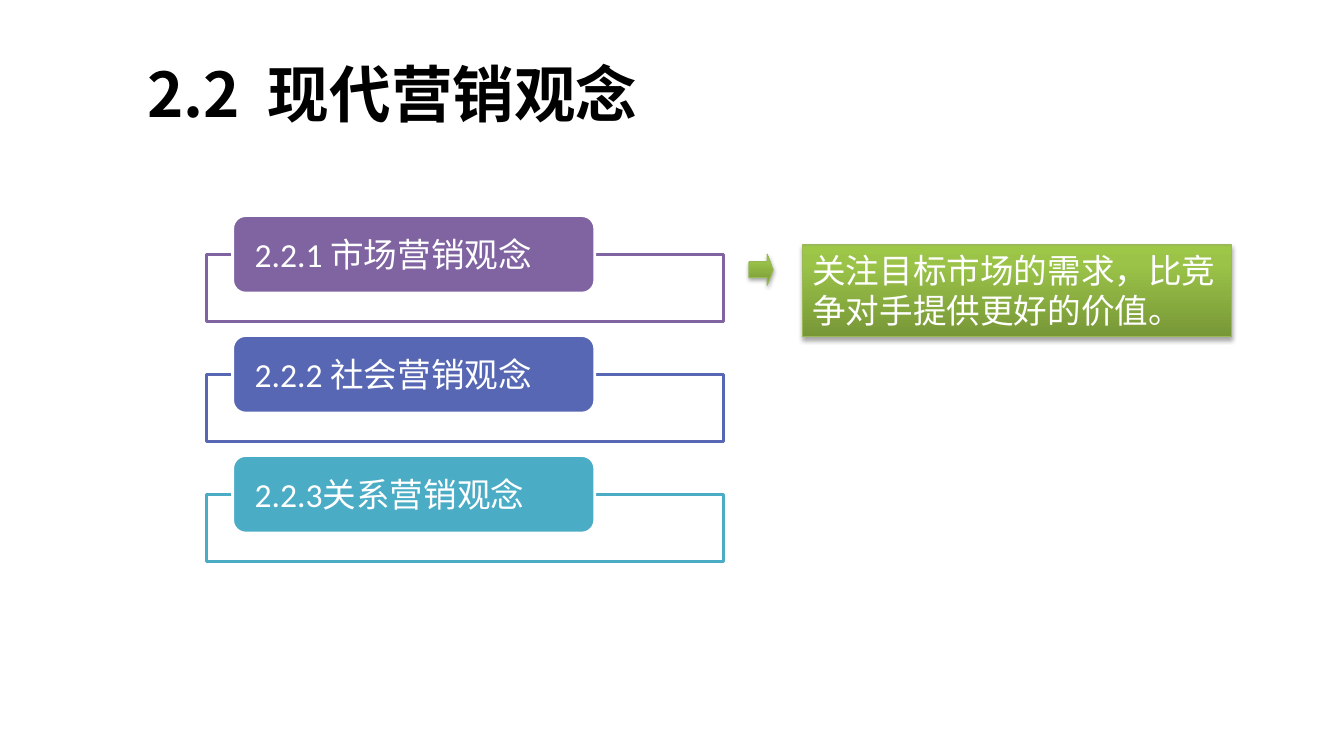
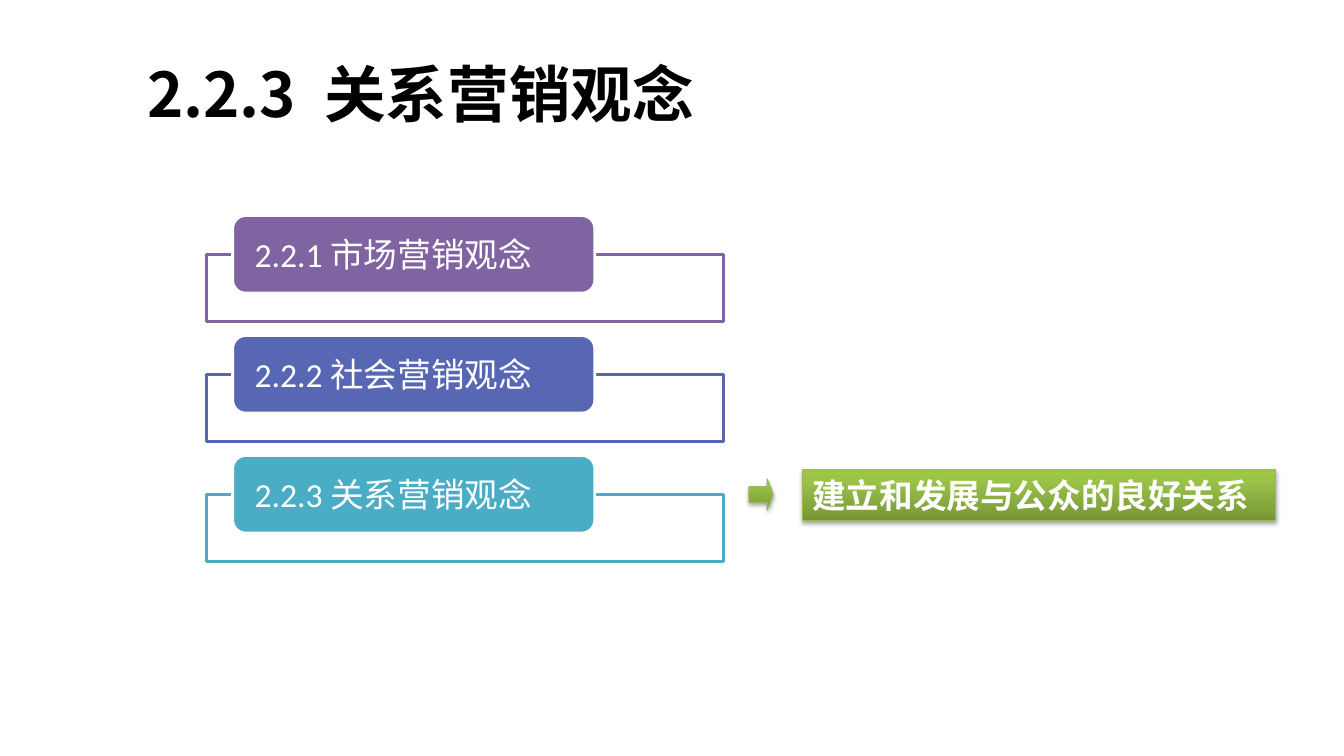
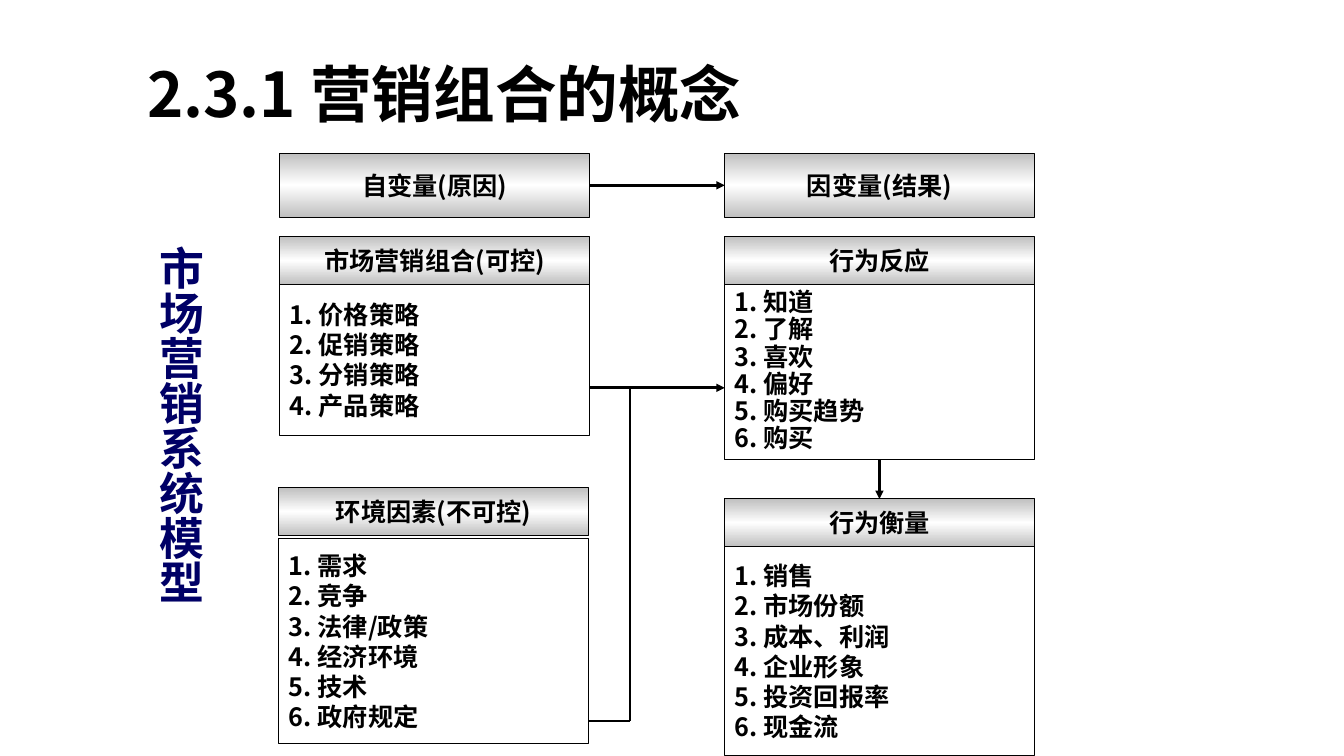
from dataclasses import dataclass

import lxml.etree
import pptx
import pptx.dml.color
import pptx.enum.shapes
import pptx.enum.text
import pptx.oxml.ns
import pptx.util

Pt = pptx.util.Pt
SHAPE = pptx.enum.shapes.MSO_SHAPE
ALIGN = pptx.enum.text.PP_ALIGN
ANCHOR = pptx.enum.text.MSO_ANCHOR
qn = pptx.oxml.ns.qn


@dataclass(frozen=True)
class Theme:
    heading_font: str = "Noto Sans CJK SC"
    label_font: str = "Calibri"
    vertical_font: str = "Times New Roman"
    title_size: int = 44
    vertical_size: int = 32
    label_size: int = 24
    model_size: int = 18
    black: str = "000000"
    white: str = "FFFFFF"
    navy: str = "000066"
    green_line: str = "98B955"
    concepts: tuple = ("8064A2", "5767B4", "4BACC6")
    green: tuple = ((0, "779737"), (80, "9BC348"), (100, "9DC746"))
    silver: tuple = ((0, "C0C0C0"), (50, "FFFFFF"), (100, "C0C0C0"))


THEME = Theme()


def rgb(color):
    return pptx.dml.color.RGBColor.from_string(color)


def write(shape, lines, font, size, color, bold=False, align=ALIGN.LEFT,
          anchor=ANCHOR.MIDDLE, spacing=None):
    frame = shape.text_frame
    frame.word_wrap = True
    frame.vertical_anchor = anchor
    frame.text = "\n".join(lines)
    for paragraph in frame.paragraphs:
        paragraph.alignment = align
        paragraph.line_spacing = spacing
        paragraph.font.size = Pt(size)
        paragraph.font.bold = bold
        paragraph.font.color.rgb = rgb(color)
        paragraph.font.name = font
        properties = paragraph.font._element
        lxml.etree.SubElement(properties, qn("a:ea"), typeface=THEME.heading_font)


def add_box(slide, kind, box, line, line_width, fill=None):
    """Add a preset shape; fill is a colour, gradient stops or None."""
    shape = slide.shapes.add_shape(kind, *map(Pt, box))
    shape.shadow.inherit = False
    shape.line.color.rgb = rgb(line)
    shape.line.width = Pt(line_width)
    if fill is None:
        shape.fill.background()
    elif isinstance(fill, str):
        shape.fill.solid()
        shape.fill.fore_color.rgb = rgb(fill)
    else:
        shape.fill.gradient()
        shape.fill.gradient_angle = 90
        stops = shape.element.spPr.find(".//" + qn("a:gsLst"))
        stops.clear()
        for position, color in fill:
            stop = lxml.etree.SubElement(stops, qn("a:gs"), pos=str(position * 1000))
            lxml.etree.SubElement(stop, qn("a:srgbClr"), val=color)
    return shape


def add_shadow(shape):
    effects = shape.element.spPr.find(qn("a:effectLst"))
    shadow = lxml.etree.SubElement(
        effects, qn("a:outerShdw"), blurRad=str(Pt(3.1)), dist=str(Pt(1.8)),
        dir="5400000", rotWithShape="0")
    color = lxml.etree.SubElement(shadow, qn("a:srgbClr"), val=THEME.black)
    lxml.etree.SubElement(color, qn("a:alpha"), val="35000")


def add_line(slide, start=(0, 0), end=(0, 0), arrow=False, join=None):
    """Draw a line between points, or between the (shape, side) pairs in join."""
    connector = slide.shapes.add_connector(
        pptx.enum.shapes.MSO_CONNECTOR.STRAIGHT, *map(Pt, (*start, *end)))
    if join:
        connector.begin_connect(*join[0])
        connector.end_connect(*join[1])
    connector.line.color.rgb = rgb(THEME.black)
    connector.line.width = Pt(2)
    properties = connector.element.spPr
    if arrow:
        lxml.etree.SubElement(properties.find(qn("a:ln")), qn("a:tailEnd"), type="triangle")
    lxml.etree.SubElement(properties, qn("a:effectLst"))


def add_titled_slide(presentation, title):
    slide = presentation.slides.add_slide(presentation.slide_layouts[6])
    title_box = slide.shapes.add_textbox(Pt(98), Pt(21.6), Pt(814), Pt(90))
    write(title_box, [title], THEME.heading_font, THEME.title_size, THEME.black, bold=True)
    return slide


def add_concept_list(slide, left, top, width, labels):
    row_height, gap = 75.7, 10
    for index, (label, color) in enumerate(zip(labels, THEME.concepts)):
        row_top = top + index * (row_height + gap)
        add_box(slide, SHAPE.RECTANGLE, (left, row_top + 28, width, row_height - 28),
                color, 2, THEME.white)
        pill = add_box(slide, SHAPE.ROUNDED_RECTANGLE,
                       (left + 18.7, row_top, 0.7 * width, 55.4), THEME.white, 2, color)
        write(pill, [label], THEME.label_font, THEME.label_size, THEME.white)
        pill.text_frame.margin_left = pill.text_frame.margin_right = Pt(13)


def add_callout(slide, left, top, width, height, text, bold):
    """Place an arrow at the left and a green note beside it."""
    arrow = add_box(slide, SHAPE.RIGHT_ARROW, (left, top + 6.5, 17.3, 22.3),
                    THEME.green_line, 0.75, THEME.green)
    arrow.adjustments[1] = 0.25
    note = add_box(slide, SHAPE.RECTANGLE, (left + 38.2, top, width - 38.2, height),
                   THEME.green_line, 0.75, THEME.green)
    write(note, [text], THEME.label_font, THEME.label_size, THEME.white, bold,
          anchor=ANCHOR.TOP)
    for shape in (arrow, note):
        add_shadow(shape)


def build_concept_slide(presentation, title, labels, callout_top, callout_size, callout, bold):
    slide = add_titled_slide(presentation, title)
    add_concept_list(slide, 147.5, 154, 369.5, labels)
    add_callout(slide, 535, callout_top, *callout_size, callout, bold)


def add_header(slide, left, top, width, height, text):
    header = add_box(slide, SHAPE.RECTANGLE, (left, top, width, height),
                     THEME.black, 0.75, THEME.silver)
    write(header, [text], THEME.heading_font, THEME.model_size, THEME.black, True, ALIGN.CENTER)
    return header


def add_panel(slide, left, top, width, height, title, items, gap=0, spacing=None):
    """Add a header above a numbered list; return both shapes."""
    header_height = 34
    header = add_header(slide, left, top, width, header_height, title)
    offset = header_height + gap
    body = add_box(slide, SHAPE.RECTANGLE, (left, top + offset, width, height - offset),
                   THEME.black, 0.75)
    lines = [f"{number}. {item}" for number, item in enumerate(items, 1)]
    write(body, lines, THEME.heading_font, THEME.model_size, THEME.black, True, spacing=spacing)
    return header, body


def add_vertical_heading(slide, left, top, width, height, text):
    heading = slide.shapes.add_textbox(*map(Pt, (left, top, width, height)))
    write(heading, [text], THEME.vertical_font, THEME.vertical_size, THEME.navy, True,
          anchor=ANCHOR.TOP)
    heading.text_frame._txBody.bodyPr.set("vert", "eaVert")


def build_model_slide(presentation):
    slide = add_titled_slide(presentation, "2.3.1 营销组合的概念")
    left, right, width = 200, 517.7, 221
    cause = add_header(slide, left, 109.7, width, 45.4, "自变量(原因)")
    effect = add_header(slide, right, 109.7, width, 45.4, "因变量(结果)")
    add_panel(slide, left, 169, width, 142, "市场营销组合(可控)",
              ["价格策略", "促销策略", "分销策略", "产品策略"])
    response = add_panel(slide, right, 169, width, 159, "行为反应",
                         ["知道", "了解", "喜欢", "偏好", "购买趋势", "购买"], spacing=0.9)
    add_panel(slide, left - 0.7, 348.5, width, 182.8, "环境因素(不可控)",
              ["需求", "竞争", "法律/政策", "经济环境", "技术", "政府规定"], gap=2)
    measure = add_panel(slide, right, 356.4, width, 183.6, "行为衡量",
                        ["销售", "市场份额", "成本、利润", "企业形象", "投资回报率", "现金流"])

    column_edge, trunk, flow, feed = left + width, 450, 277, 515
    add_line(slide, arrow=True, join=((cause, 3), (effect, 1)))
    add_line(slide, (column_edge, flow), (right, flow), arrow=True)
    add_line(slide, (trunk, flow), (trunk, feed))
    add_line(slide, (trunk, feed), (column_edge, feed))
    add_line(slide, arrow=True, join=((response[1], 2), (measure[0], 0)))
    add_vertical_heading(slide, 98, 169, 53.3, 294.5, "市场营销系统模型")


def main():
    presentation = pptx.Presentation()
    presentation.slide_width, presentation.slide_height = Pt(960), Pt(540)
    concepts = ["2.2.1 市场营销观念", "2.2.2 社会营销观念"]
    build_concept_slide(presentation, "2.2  现代营销观念", concepts + ["2.2.3关系营销观念"],
                        175, (345, 65.5), "关注目标市场的需求，比竞争对手提供更好的价值。", False)
    build_concept_slide(presentation, "2.2.3  关系营销观念", concepts + ["2.2.3 关系营销观念"],
                        335.5, (376, 36), "建立和发展与公众的良好关系", True)
    build_model_slide(presentation)
    presentation.save("out.pptx")


if __name__ == "__main__":
    main()
